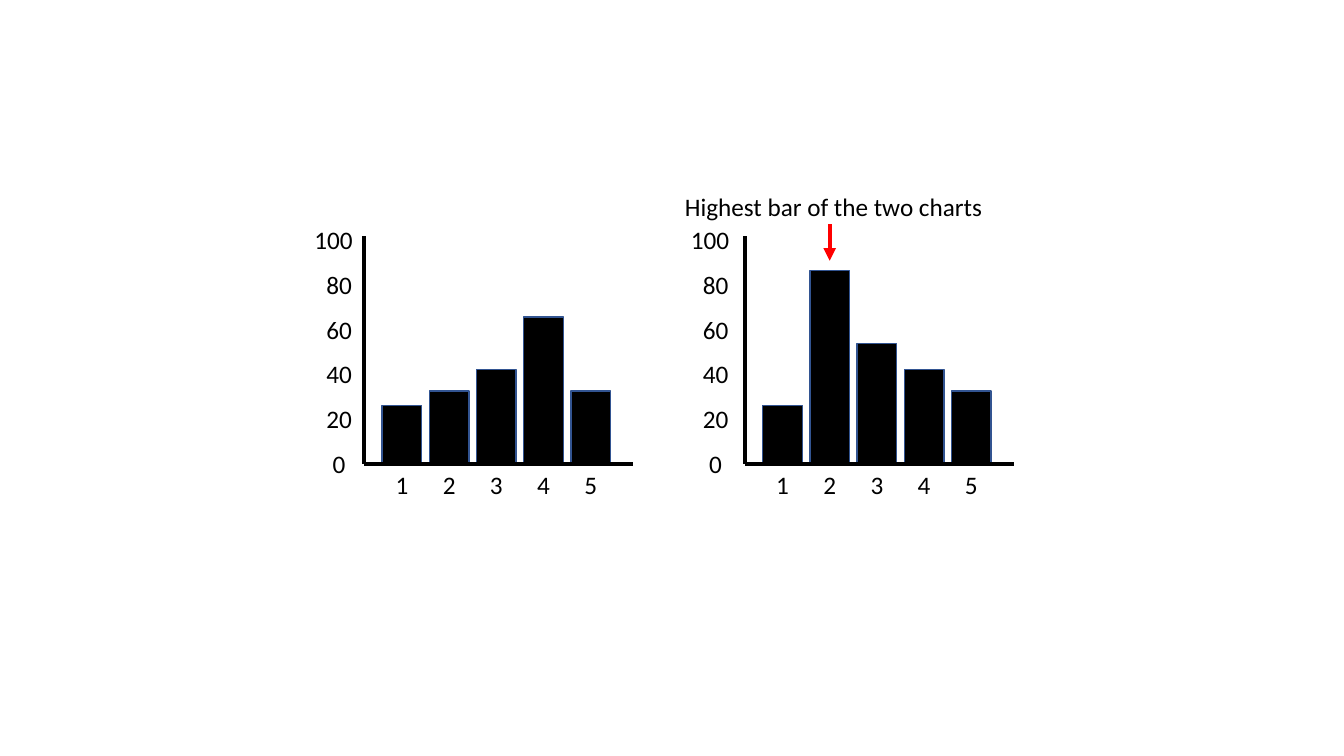
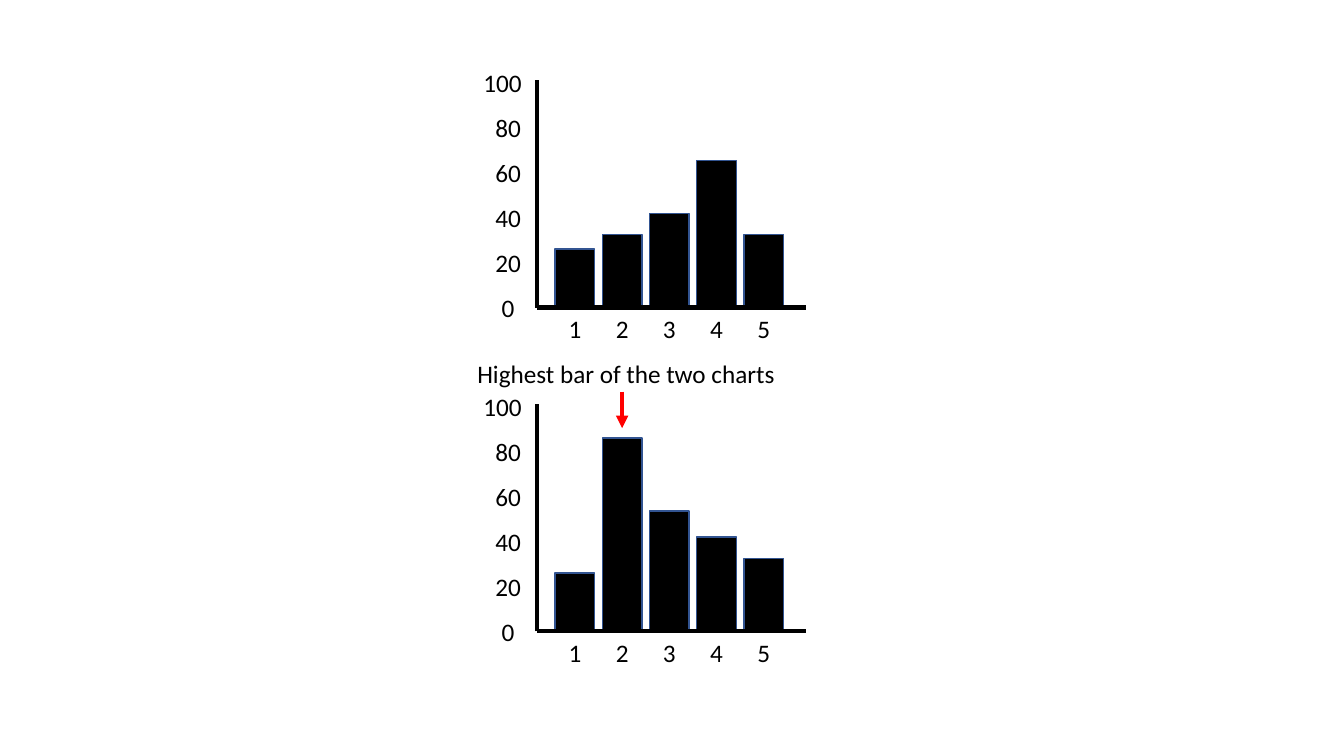
from lxml import etree
from pptx import Presentation
from pptx.dml.color import RGBColor
from pptx.enum import shapes, text
from pptx.oxml import ns
from pptx.util import Cm, Pt

RISING = [26, 32.5, 42, 65.5, 32.5]
FALLING = [26, 86, 53.5, 42, 32.5]
NOTE = "Highest bar of the two charts"
TICKS = range(0, 101, 20)

# Each chart: values, left and base of its axes, right edge of its tick labels
SLIDES = [
    [(RISING, 9.18, 11.69, 9.28), (FALLING, 18.77, 11.69, 18.77)],
    [(RISING, 13.54, 7.75, 13.54), (FALLING, 13.54, 15.91, 13.54)],
]

COLORS = {"ink": "000000", "edge": "325491", "mark": "FF0000"}
FONT, SIZE = "Calibri", 18
UNIT = 5.66 / 100  # height of one value, in cm
INSET, STEP, BAR = 0.45, 1.19, 1
WIDE, HIGH = 6.78, 5.74
ROW = 1.02


def color(name):
    return RGBColor.from_string(COLORS[name])


def label(group, words, x, y, w, wrap=True):
    box = group.shapes.add_textbox(Cm(x), Cm(y), Cm(w), Cm(ROW))
    frame = box.text_frame
    frame.text = words
    frame.word_wrap = wrap
    frame.auto_size = text.MSO_AUTO_SIZE.SHAPE_TO_FIT_TEXT
    para = frame.paragraphs[0]
    para.alignment = text.PP_ALIGN.CENTER if wrap else text.PP_ALIGN.LEFT
    font = para.runs[0].font
    font.name, font.size = FONT, Pt(SIZE)
    font.color.rgb = color("ink")


def line(group, x1, y1, x2, y2, name="ink", arrow=False):
    link = group.shapes.add_connector(
        shapes.MSO_CONNECTOR.STRAIGHT, Cm(x1), Cm(y1), Cm(x2), Cm(y2))
    link.line.width = Pt(3)
    link.line.color.rgb = color(name)
    props = link._element.spPr
    etree.SubElement(props, ns.qn("a:effectLst"))
    if arrow:
        tail = etree.SubElement(props.find(ns.qn("a:ln")), ns.qn("a:tailEnd"))
        tail.set("type", "triangle")


def bar(group, x, base, value):
    high = value * UNIT
    rect = group.shapes.add_shape(
        shapes.MSO_SHAPE.RECTANGLE, Cm(x), Cm(base - high), Cm(BAR), Cm(high))
    rect.shadow.inherit = False
    rect.fill.solid()
    rect.fill.fore_color.rgb = color("ink")
    rect.line.color.rgb = color("edge")
    rect.line.width = Pt(1)


def chart(slide, values, left, base, edge):
    """Draw bars, axes and labels as one group."""
    group = slide.shapes.add_group_shape()
    lefts = [left + INSET + i * STEP for i in range(len(values))]
    for x, value in zip(lefts, values):
        bar(group, x, base, value)
    line(group, left, base, left + WIDE, base)
    line(group, left, base, left, base - HIGH)
    for i, x in enumerate(lefts, 1):
        label(group, str(i), x + BAR / 2 - 0.42, base + 0.02, 0.84)
    for tick in TICKS:
        w = 1.75 if tick == 100 else 1.47
        label(group, str(tick), edge - w, base - tick * UNIT - ROW / 2, w)
    return group, lefts


def mark(group, x, left, base):
    """Point the note at the highest bar."""
    line(group, x, base - 6.04, x, base - 5.12, "mark", arrow=True)
    label(group, NOTE, left - 1.76, base - 7, 8.1, wrap=False)


def main():
    deck = Presentation()
    deck.slide_width, deck.slide_height = Cm(33.87), Cm(19.05)
    for charts in SLIDES:
        slide = deck.slides.add_slide(deck.slide_layouts[6])
        top = max(max(values) for values, *_ in charts)
        for values, left, base, edge in charts:
            group, lefts = chart(slide, values, left, base, edge)
            if top in values:
                x = lefts[values.index(top)] + BAR / 2
                mark(group, x, left, base)
    deck.save("out.pptx")


if __name__ == "__main__":
    main()
